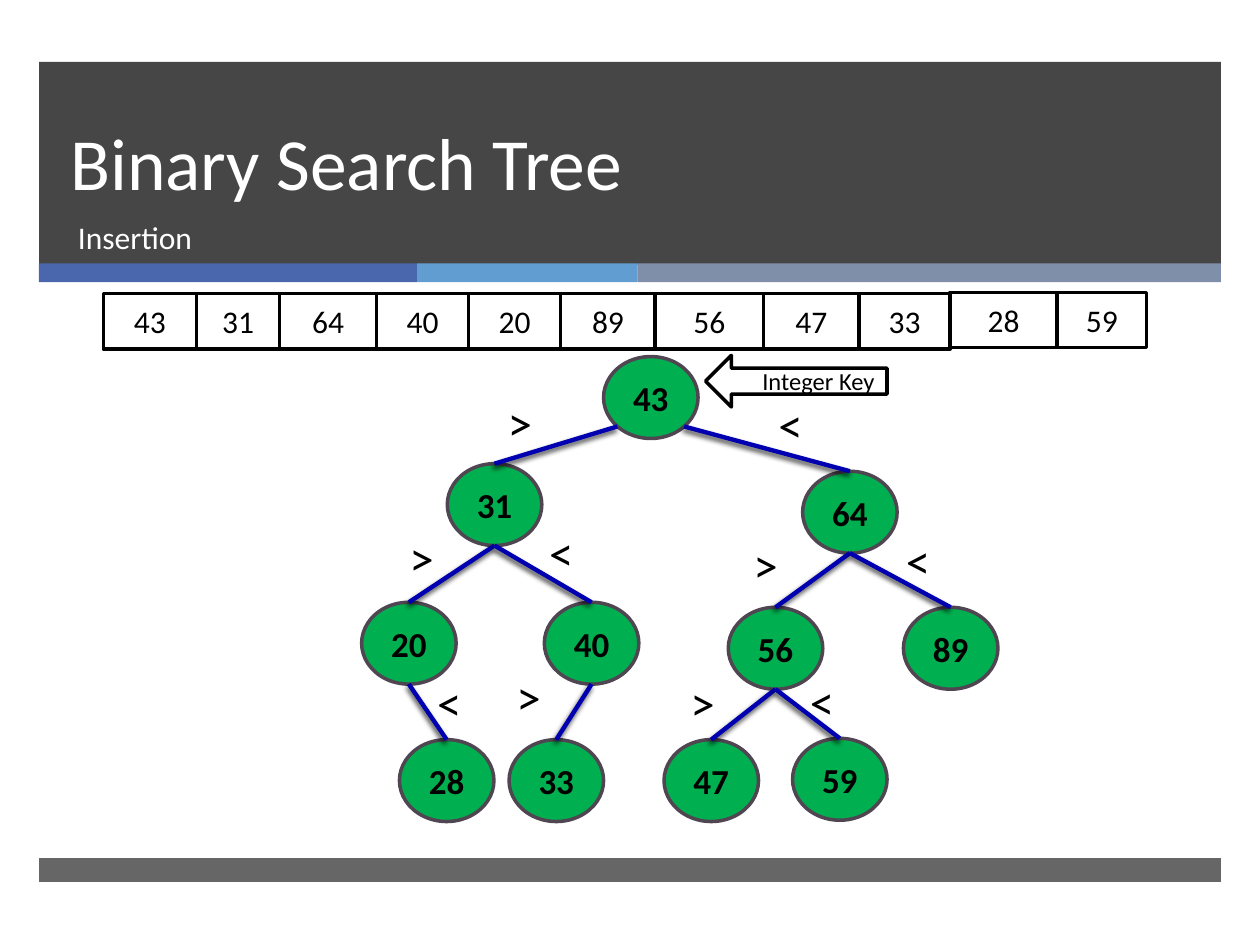
"""Build the binary search tree insertion slide."""
from dataclasses import dataclass
from itertools import pairwise
from math import cos, pi
from typing import Optional

from lxml import etree
from pptx import Presentation
from pptx.dml import color
from pptx.enum import shapes, text
from pptx.oxml import ns
from pptx import util as u

PX = 9144
FONT = "Calibri"
NODE_WIDTH, NODE_HEIGHT = 75, 65
COLORS = {
    "dark": "262626", "blue": "4A66AC", "sky": "629DD1", "slate": "7F8FA9",
    "white": "FFFFFF", "black": "000000", "green": "00B050",
    "outline": "504652", "edge": "0000B0",
}


@dataclass(frozen=True)
class Box:
    left: int
    top: int
    width: int
    height: int

    def emu(self) -> list[int]:
        return [value * PX for value in (self.left, self.top, self.width, self.height)]


@dataclass(frozen=True)
class Band:
    box: Box
    fill: str
    opacity: int = 100


@dataclass(frozen=True)
class Node:
    key: int
    left: int
    top: int
    parent: Optional[int] = None
    label_left: int = 0
    label_top: int = 0


BANDS = [
    Band(Box(31, 49, 938, 161), "dark", 85),
    Band(Box(31, 209, 300, 15), "blue"),
    Band(Box(331, 209, 175, 15), "sky"),
    Band(Box(506, 209, 463, 15), "slate"),
    Band(Box(31, 681, 938, 19), "dark", 70),
]
NODES = [
    Node(43, 479, 283),
    Node(31, 355, 368, 43, 393, 307),
    Node(64, 637, 374, 43, 608, 308),
    Node(20, 287, 478, 31, 315, 414),
    Node(40, 432, 478, 31, 426, 410),
    Node(56, 578, 482, 64, 588, 419),
    Node(89, 717, 482, 64, 709, 416),
    Node(28, 317, 587, 20, 337, 529),
    Node(33, 404, 587, 40, 400, 524),
    Node(47, 527, 587, 56, 538, 529),
    Node(59, 629, 586, 56, 633, 528),
]
INSERTED_KEYS = [43, 31, 64, 40, 20, 89, 56, 47, 33, 28, 59]
CELL_EDGES = [82, 156, 222, 299, 372, 445, 520, 606, 682, 754, 839, 910]
RAISED_KEYS = {28, 59}


def rgb(name: str) -> color.RGBColor:
    return color.RGBColor.from_string(COLORS[name])


def write(shape, words: str, size: int, ink: str = "black", bold: bool = False,
          align=text.PP_ALIGN.LEFT, anchor=text.MSO_ANCHOR.TOP):
    frame = shape.text_frame
    frame.text = words
    frame.word_wrap = True
    frame.vertical_anchor = anchor
    paragraph = frame.paragraphs[0]
    paragraph.alignment = align
    for run in paragraph.runs:
        run.font.name, run.font.size, run.font.bold = FONT, u.Pt(size), bold
        run.font.color.rgb = rgb(ink)
    return paragraph


def add_text(slide, box: Box, words: str, size: int, ink: str = "black",
             anchor=text.MSO_ANCHOR.TOP):
    return write(slide.shapes.add_textbox(*box.emu()), words, size, ink, anchor=anchor)


def add_shape(slide, kind, box: Box, fill: str, line: Optional[str] = None):
    shape = slide.shapes.add_shape(kind, *box.emu())
    shape.shadow.inherit = False
    shape.fill.solid()
    shape.fill.fore_color.rgb = rgb(fill)
    if line:
        shape.line.color.rgb = rgb(line)
        shape.line.width = u.Pt(2)
    else:
        shape.line.fill.background()
    return shape


def add_band(slide, band: Band) -> None:
    shape = add_shape(slide, shapes.MSO_SHAPE.RECTANGLE, band.box, band.fill)
    if band.opacity < 100:
        tint = shape.fill._xPr.find(".//" + ns.qn("a:srgbClr"))
        etree.SubElement(tint, ns.qn("a:alpha"), val=str(band.opacity * 1000))


def add_lettered(slide, kind, box: Box, fill: str, line: str, words: str, size: int,
                 bold: bool = False, align=text.PP_ALIGN.CENTER):
    shape = add_shape(slide, kind, box, fill, line)
    write(shape, words, size, bold=bold, align=align, anchor=text.MSO_ANCHOR.MIDDLE)
    return shape


def add_edge(slide, parent: Node, child: Node, child_shape) -> None:
    start_x = parent.left + NODE_WIDTH / 2
    start_y = parent.top + NODE_HEIGHT
    if parent.parent is None:
        side = 1 if child.key > parent.key else -1
        start_x += side * NODE_WIDTH / 2 * cos(pi / 4)
        start_y = parent.top + NODE_HEIGHT / 2 * (1 + cos(pi / 4))
    edge = slide.shapes.add_connector(
        shapes.MSO_CONNECTOR.STRAIGHT, round(start_x * PX), round(start_y * PX),
        (child.left + NODE_WIDTH // 2) * PX, child.top * PX)
    edge.end_connect(child_shape, 0)
    edge.line.color.rgb = rgb("edge")
    edge.line.width = u.Pt(2.5)
    effects = etree.SubElement(edge._element.spPr, ns.qn("a:effectLst"))
    shadow = etree.SubElement(
        effects, ns.qn("a:outerShdw"), blurRad=str(u.Pt(3)), dist=str(u.Pt(2)),
        dir=str(110 * 60000), rotWithShape="0")
    tint = etree.SubElement(shadow, ns.qn("a:srgbClr"), val=COLORS["black"])
    etree.SubElement(tint, ns.qn("a:alpha"), val="75000")


def add_tree(slide) -> None:
    nodes = {node.key: node for node in NODES}
    ellipses = {
        node.key: add_lettered(
            slide, shapes.MSO_SHAPE.OVAL,
            Box(node.left, node.top, NODE_WIDTH, NODE_HEIGHT),
            "green", "outline", str(node.key), 20, bold=True)
        for node in NODES
    }
    children = [node for node in NODES if node.parent is not None]
    for child in children:
        add_edge(slide, nodes[child.parent], child, ellipses[child.key])
    for child in children:
        relation = ">" if child.parent > child.key else "<"
        add_text(slide, Box(child.label_left, child.label_top, 48, 57), relation, 28)


def add_key_row(slide) -> None:
    for key, (left, right) in zip(INSERTED_KEYS, pairwise(CELL_EDGES)):
        top = 232 if key in RAISED_KEYS else 233
        add_lettered(slide, shapes.MSO_SHAPE.RECTANGLE, Box(left, top, right - left, 44),
                     "white", "black", str(key), 18)


def main() -> None:
    presentation = Presentation()
    presentation.slide_width, presentation.slide_height = 1000 * PX, 750 * PX
    slide = presentation.slides.add_slide(presentation.slide_layouts[6])
    for band in BANDS:
        add_band(slide, band)
    title = add_text(slide, Box(46, 49, 854, 119), "Binary Search Tree", 42, "white",
                     text.MSO_ANCHOR.BOTTOM)
    title.line_spacing = u.Pt(46)
    add_text(slide, Box(52, 168, 848, 53), "Insertion", 18, "white")
    add_tree(slide)
    add_lettered(slide, shapes.MSO_SHAPE.LEFT_ARROW, Box(560, 282, 144, 41),
                 "white", "black", "Integer Key", 14, align=text.PP_ALIGN.RIGHT)
    add_key_row(slide)
    presentation.save("out.pptx")


if __name__ == "__main__":
    main()
